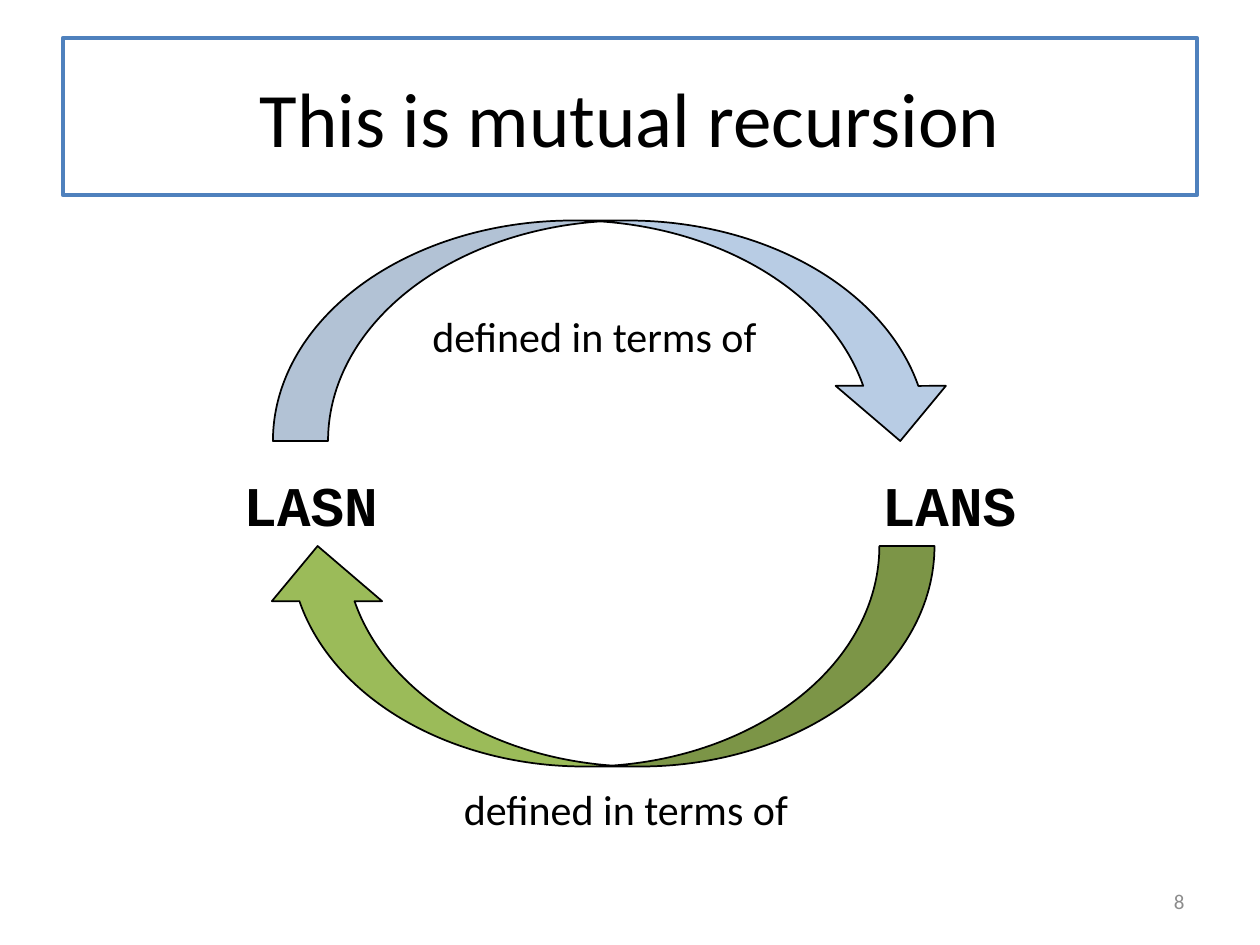
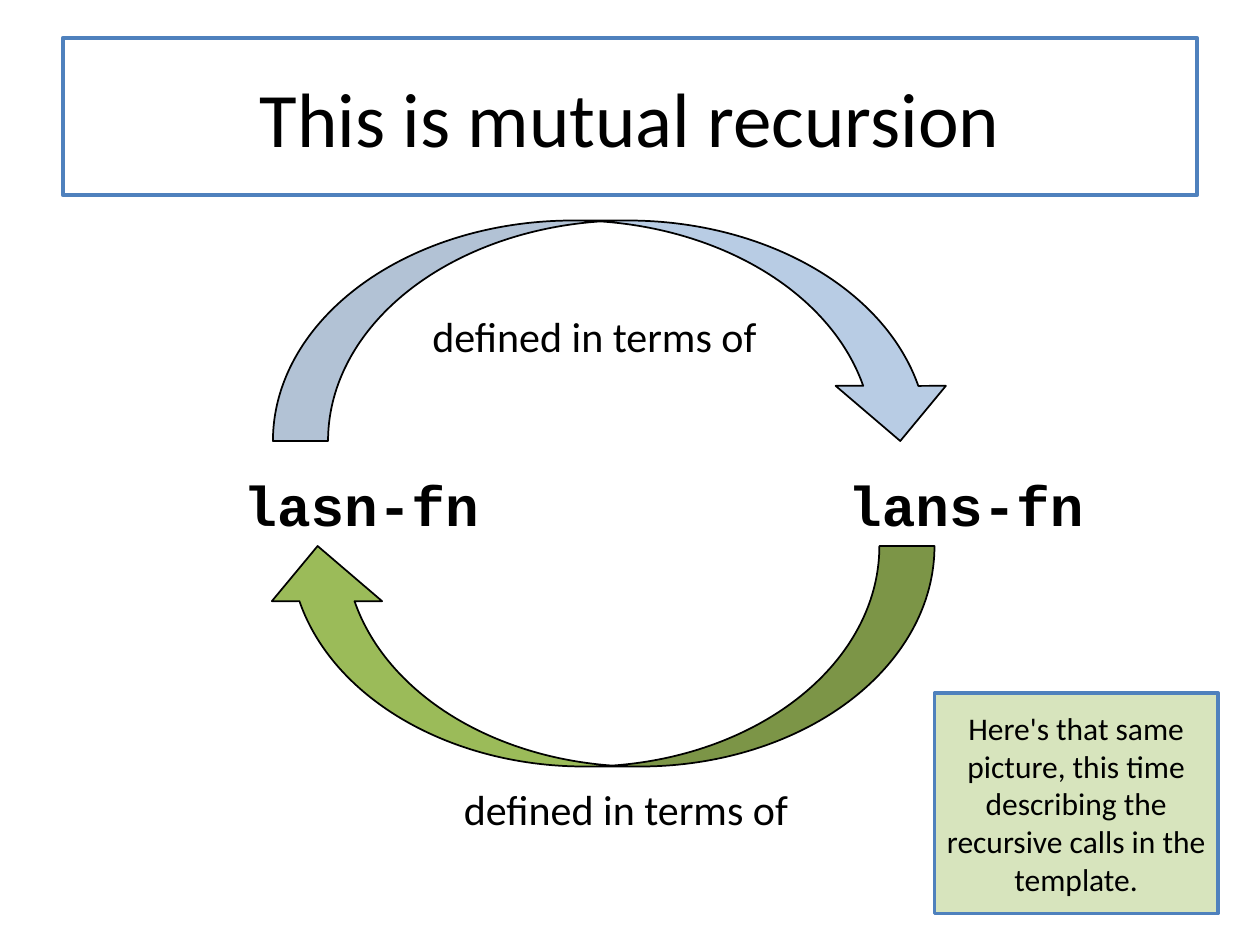
from dataclasses import dataclass
from typing import Optional

from lxml.etree import SubElement
from pptx import Presentation
from pptx.dml.color import RGBColor
from pptx.enum.shapes import MSO_SHAPE as Shape
from pptx.enum.text import MSO_ANCHOR as Anchor, PP_ALIGN as Align
from pptx.oxml.ns import qn
from pptx.util import Emu, Pt

PX = 914400 // 120
CHARACTER = 32  # width of one 32-point Courier New character, in px
TEXT_EDGE = 60
BLANK_LAYOUT = 6

COLORS = {
    "paper": "FFFFFF",
    "ink": "000000",
    "blue": "4F81BD",
    "green": "9BBB59",
    "pale green": "D7E4BD",
    "gray": "8C8C8C",
}

TEXT_STYLES = {
    "title": {"name": "Calibri", "size": Pt(44), "bold": False},
    "node": {"name": "Courier New", "size": Pt(32), "bold": True},
    "label": {"name": "Calibri", "size": Pt(24), "bold": False},
    "note": {"name": "Calibri", "size": Pt(18), "bold": False},
    "number": {"name": "Calibri", "size": Pt(12), "bold": False},
}


@dataclass(frozen=True)
class Area:
    left: int
    top: int
    width: int
    height: int

    def emu(self) -> list[Emu]:
        return [Emu(px * PX) for px in (self.left, self.top, self.width, self.height)]


@dataclass(frozen=True)
class Panel:
    area: Area
    style: str
    fill: str
    line_width: float


@dataclass(frozen=True)
class CurvedArrow:
    area: Area
    fill: str
    rotation: int = 0
    opacity: int = 100


@dataclass(frozen=True)
class Node:
    name: str
    column: int


@dataclass(frozen=True)
class Cycle:
    nodes: tuple[Node, Node]
    number: str = ""
    note: Optional[str] = None


TITLE = "This is mutual recursion"
RELATION = "defined in terms of"
TITLE_PANEL = Panel(Area(60, 36, 1080, 150), "title", "paper", 2.25)
NOTE_PANEL = Panel(Area(890, 660, 270, 210), "note", "pale green", 2)
NUMBER_AREA = Area(860, 834, 280, 48)
ARROWS = (
    CurvedArrow(Area(260, 210, 650, 210), "blue", opacity=40),
    CurvedArrow(Area(250, 520, 640, 210), "green", rotation=180),
)
RELATION_AREAS = (Area(400, 290, 360, 60), Area(430, 740, 360, 60))

CYCLES = (
    Cycle((Node("LASN", 5), Node("LANS", 24)), number="8"),
    Cycle(
        (Node("lasn-fn", 5), Node("lans-fn", 23)),
        note="Here's that same picture, this time describing "
        "the recursive calls in the template.",
    ),
)


def rgb(color: str) -> RGBColor:
    return RGBColor.from_string(COLORS[color])


def write(box, text: str, style: str, color: str = "ink",
          align: Align = Align.LEFT, anchor: Anchor = Anchor.MIDDLE) -> None:
    frame = box.text_frame
    for key, value in {"word_wrap": True, "vertical_anchor": anchor}.items():
        setattr(frame, key, value)
    para = frame.paragraphs[0]
    para.alignment = align
    span = para.add_run()
    span.text = text
    for key, value in TEXT_STYLES[style].items():
        setattr(span.font, key, value)
    span.font.color.rgb = rgb(color)


def add_text(page, area: Area, text: str, style: str, **options) -> None:
    write(page.shapes.add_textbox(*area.emu()), text, style, **options)


def add_outlined(page, kind: Shape, area: Area, fill: str, line: str, width: float):
    shape = page.shapes.add_shape(kind, *area.emu())
    shape.shadow.inherit = False
    shape.fill.solid()
    shape.fill.fore_color.rgb = rgb(fill)
    shape.line.color.rgb = rgb(line)
    shape.line.width = Pt(width)
    return shape


def add_panel(page, panel: Panel, text: str) -> None:
    box = add_outlined(page, Shape.RECTANGLE, panel.area, panel.fill, "blue",
                       panel.line_width)
    write(box, text, panel.style, align=Align.CENTER)


def add_arrow(page, arrow: CurvedArrow) -> None:
    shape = add_outlined(page, Shape.CURVED_DOWN_ARROW, arrow.area, arrow.fill, "ink", 1)
    shape.rotation = arrow.rotation
    if arrow.opacity < 100:
        color = shape.fill._xPr.find(qn("a:solidFill")).find(qn("a:srgbClr"))
        SubElement(color, qn("a:alpha"), val=str(arrow.opacity * 1000))


def add_node(page, node: Node) -> None:
    """Place a name on the character grid between the two arrows."""
    left = TEXT_EDGE + node.column * CHARACTER
    width = (len(node.name) + 1) * CHARACTER
    add_text(page, Area(left, 445, width, 70), node.name, "node")


def add_cycle(deck, cycle: Cycle) -> None:
    page = deck.slides.add_slide(deck.slide_layouts[BLANK_LAYOUT])
    add_panel(page, TITLE_PANEL, TITLE)
    for node in cycle.nodes:
        add_node(page, node)
    if cycle.number:
        add_text(page, NUMBER_AREA, cycle.number, "number", color="gray",
                 align=Align.RIGHT)
    for arrow in ARROWS:
        add_arrow(page, arrow)
    for area in RELATION_AREAS:
        add_text(page, area, RELATION, "label", anchor=Anchor.TOP)
    if cycle.note:
        add_panel(page, NOTE_PANEL, cycle.note)


def main() -> None:
    deck = Presentation()
    deck.slide_width, deck.slide_height = Emu(1200 * PX), Emu(900 * PX)
    for cycle in CYCLES:
        add_cycle(deck, cycle)
    deck.save("out.pptx")


if __name__ == "__main__":
    main()
